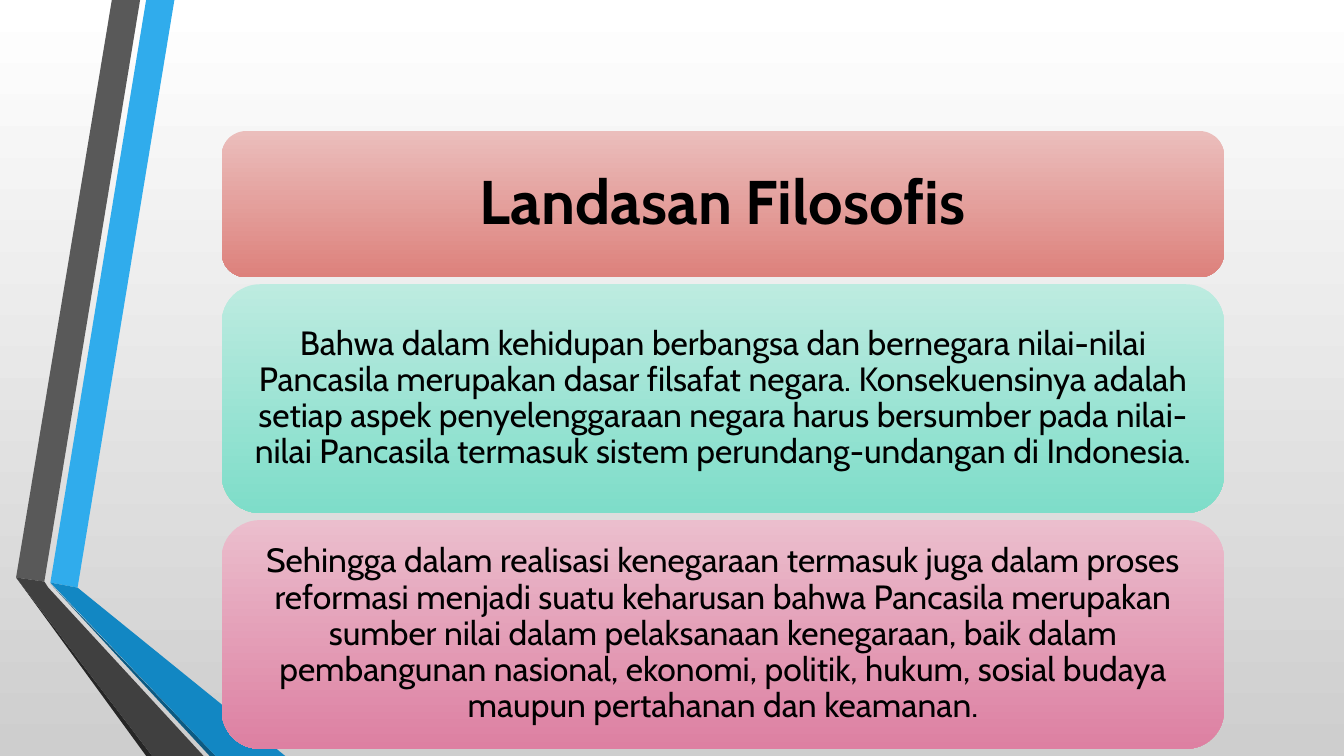
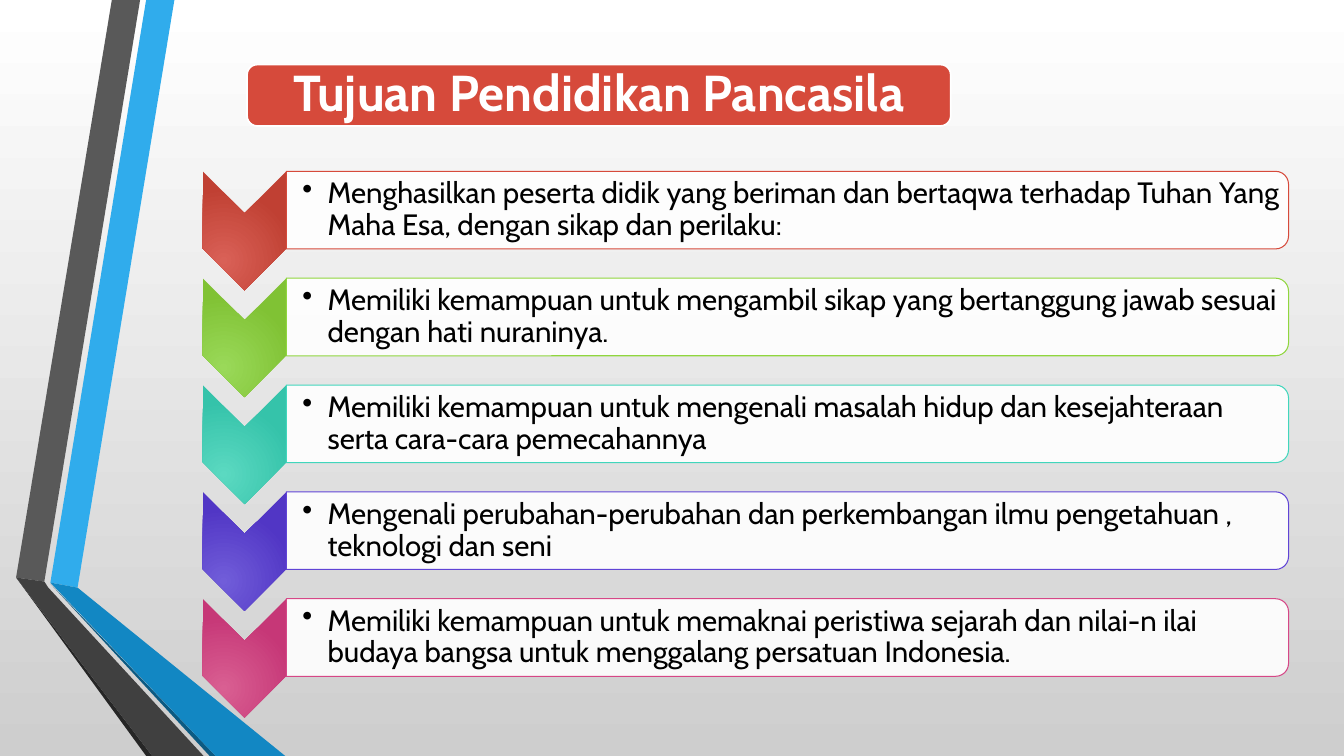
from lxml import etree
from pptx import Presentation
from pptx import util as u
from pptx.dml import color
from pptx.enum import shapes, text
from pptx.oxml import ns

FONT = "Cabin"
BLACK, WHITE, RED = "000000", "FFFFFF", "D64A3B"
BACKGROUND = ("FFFFFF", "CECECE")

# Ribbons on the left of every slide: colour and outline in inches
RIBBONS = [
    ("30ACEC", [(0.5, 5.78), (0.77, 5.83), (1.73, 0), (1.45, 0)]),
    ("595959", [(1.39, 0), (1.11, 0), (0.16, 5.73), (0.44, 5.77)]),
    ("262626", [(0.16, 5.73), (1.45, 7.5), (1.51, 7.5)]),
    ("0C5A82", [(0.5, 5.79), (2.08, 7.5), (2.14, 7.5)]),
    ("1287C3", [(0.5, 5.78), (2.14, 7.5), (2.83, 7.5), (0.77, 5.83)]),
    ("404040", [(0.16, 5.73), (1.51, 7.5), (2.02, 7.5), (0.48, 5.83), (0.44, 5.77)]),
]

# Panels: top, height, gradient, inset, size, bold, wording
PANELS = [
    (1.3, 1.45, ("EBBEBC", "DD817C"), 0.18, 44, True, "Landasan Filosofis"),
    (2.82, 2.27, ("BDEBE0", "7EDDC9"), 0.1, 24, False,
     "Bahwa dalam kehidupan berbangsa dan bernegara nilai-nilai Pancasila "
     "merupakan dasar filsafat negara. Konsekuensinya adalah setiap aspek "
     "penyelenggaraan negara harus bersumber pada nilai-nilai Pancasila "
     "termasuk sistem perundang-undangan di Indonesia."),
    (5.16, 2.27, ("EBBECD", "DD80A2"), 0.1, 24, False,
     "Sehingga dalam realisasi kenegaraan termasuk juga dalam proses reformasi "
     "menjadi suatu keharusan bahwa Pancasila merupakan sumber nilai dalam "
     "pelaksanaan kenegaraan, baik dalam pembangunan nasional, ekonomi, politik, "
     "hukum, sosial budaya maupun pertahanan dan keamanan."),
]

# Goals: chevron gradient, outline colour, wording
GOALS = [
    (("D96157", "C04033"), RED,
     "Menghasilkan peserta didik yang beriman dan bertaqwa terhadap Tuhan Yang "
     "Maha Esa, dengan sikap dan perilaku:"),
    (("9AD959", "80C234"), "90D63E",
     "Memiliki kemampuan untuk mengambil sikap yang bertanggung jawab sesuai "
     "dengan hati nuraninya."),
    (("5BD9C1", "35C3AA"), "41D6BC",
     "Memiliki kemampuan untuk mengenali masalah hidup dan kesejahteraan serta "
     "cara-cara pemecahannya"),
    (("715DD9", "5136C5"), "6044D6",
     "Mengenali perubahan-perubahan dan perkembangan ilmu pengetahuan , "
     "teknologi dan seni"),
    (("D95F92", "C63777"), "D64787",
     "Memiliki kemampuan untuk memaknai peristiwa sejarah dan nilai-n ilai "
     "budaya bangsa untuk menggalang persatuan Indonesia."),
]
GOAL_TOP, GOAL_PITCH = 1.7, 1.06


def rgb(value):
    return color.RGBColor.from_string(value)


def paint_solid(fill, value):
    fill.solid()
    fill.fore_color.rgb = rgb(value)


def paint_gradient(fill, colours):
    """Vertical gradient, first colour on top."""
    fill.gradient()
    fill.gradient_angle = 270
    for stop, value, position in zip(fill.gradient_stops, colours, (0, 1)):
        stop.color.rgb = rgb(value)
        stop.position = position


def make_radial(shape):
    """Turn the gradient of a shape into a circular one."""
    gradient = shape._element.spPr.find(ns.qn("a:gradFill"))
    gradient.remove(gradient.find(ns.qn("a:lin")))
    circle = etree.SubElement(gradient, ns.qn("a:path"), path="circle")
    etree.SubElement(circle, ns.qn("a:fillToRect"),
                     l="50000", t="100000", r="100000", b="50000")


def add_box(slide, kind, left, top, width, height, line=None, points=0.75):
    shape = slide.shapes.add_shape(
        kind, u.Inches(left), u.Inches(top), u.Inches(width), u.Inches(height))
    shape.shadow.inherit = False
    if line:
        shape.line.color.rgb = rgb(line)
        shape.line.width = u.Pt(points)
    else:
        shape.line.fill.background()
    return shape


def add_turned_box(slide, kind, left, top, width, height, line=None):
    """Shape turned a quarter clockwise; the box given is the one that shows."""
    shift = (width - height) / 2
    shape = add_box(slide, kind, left + shift, top - shift, height, width, line)
    shape.rotation = 90
    return shape


def write(shape, wording, size, colour, insets, bold=False, bullet=False):
    frame = shape.text_frame
    frame.word_wrap = True
    frame.vertical_anchor = text.MSO_ANCHOR.MIDDLE
    frame.margin_left, frame.margin_top, frame.margin_right, frame.margin_bottom = map(
        u.Inches, insets)
    frame.text = wording
    paragraph = frame.paragraphs[0]
    paragraph.line_spacing = 0.9
    if bullet:
        paragraph.alignment = text.PP_ALIGN.LEFT
        properties = paragraph._p.get_or_add_pPr()
        properties.set("marL", str(u.Inches(0.25)))
        properties.set("indent", str(u.Inches(-0.25)))
        etree.SubElement(properties, ns.qn("a:buChar"), char="•")
    else:
        paragraph.alignment = text.PP_ALIGN.CENTER
    font = paragraph.runs[0].font
    font.name, font.size, font.bold = FONT, u.Pt(size), bold
    font.color.rgb = rgb(colour)


def add_slide(presentation):
    """Blank slide with the shared background and ribbons."""
    slide = presentation.slides.add_slide(presentation.slide_layouts[6])
    paint_gradient(slide.background.fill, BACKGROUND)
    for colour, outline in RIBBONS:
        points = [(u.Inches(x), u.Inches(y)) for x, y in outline]
        builder = slide.shapes.build_freeform(*points[0])
        builder.add_line_segments(points[1:], close=True)
        ribbon = builder.convert_to_shape()
        ribbon.shadow.inherit = False
        paint_solid(ribbon.fill, colour)
        ribbon.line.fill.background()
    return slide


def add_panel(slide, top, height, colours, inset, size, bold, wording):
    panel = add_box(slide, shapes.MSO_SHAPE.ROUNDED_RECTANGLE, 2.2, top, 9.94, height)
    paint_gradient(panel.fill, colours)
    write(panel, wording, size, BLACK, [inset] * 4, bold)


def add_goal(slide, top, colours, outline, wording):
    chevron = add_turned_box(slide, shapes.MSO_SHAPE.CHEVRON, 2.01, top, 0.83, 1.18)
    paint_gradient(chevron.fill, colours)
    make_radial(chevron)

    card = add_turned_box(slide, shapes.MSO_SHAPE.ROUND_2_SAME_RECTANGLE,
                          2.84, top, 9.94, 0.77, outline)
    paint_solid(card.fill, WHITE)
    white = card._element.spPr.find(ns.qn("a:solidFill"))[0]
    etree.SubElement(white, ns.qn("a:alpha"), val="90000")

    label = slide.shapes.add_textbox(
        u.Inches(2.84), u.Inches(top + 0.04), u.Inches(9.9), u.Inches(0.69))
    write(label, wording, 21, BLACK, (0.16, 0.01, 0.01, 0.01), bullet=True)


def add_title(slide, wording):
    title = add_box(slide, shapes.MSO_SHAPE.ROUNDED_RECTANGLE,
                    2.45, 0.64, 6.98, 0.61, WHITE, 1.25)
    paint_solid(title.fill, RED)
    write(title, wording, 36, WHITE, [0.15] * 4, bold=True)


def main():
    presentation = Presentation()
    presentation.slide_width = u.Inches(13.33)
    presentation.slide_height = u.Inches(7.5)

    # Philosophical basis
    slide = add_slide(presentation)
    for panel in PANELS:
        add_panel(slide, *panel)

    # Goals of the education
    slide = add_slide(presentation)
    for index, goal in enumerate(GOALS):
        add_goal(slide, GOAL_TOP + index * GOAL_PITCH, *goal)
    add_title(slide, "Tujuan Pendidikan Pancasila")

    presentation.save("out.pptx")


if __name__ == "__main__":
    main()
